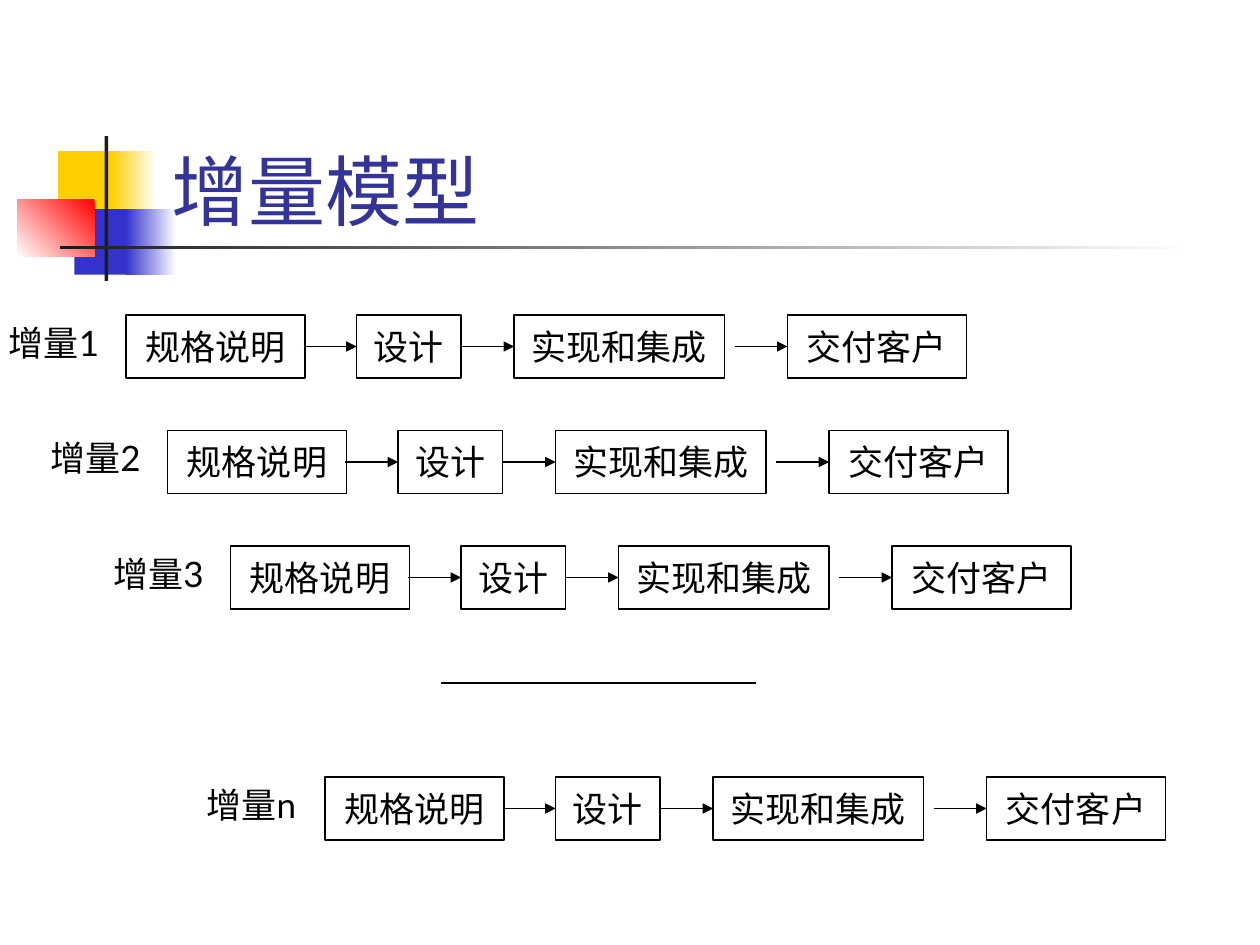
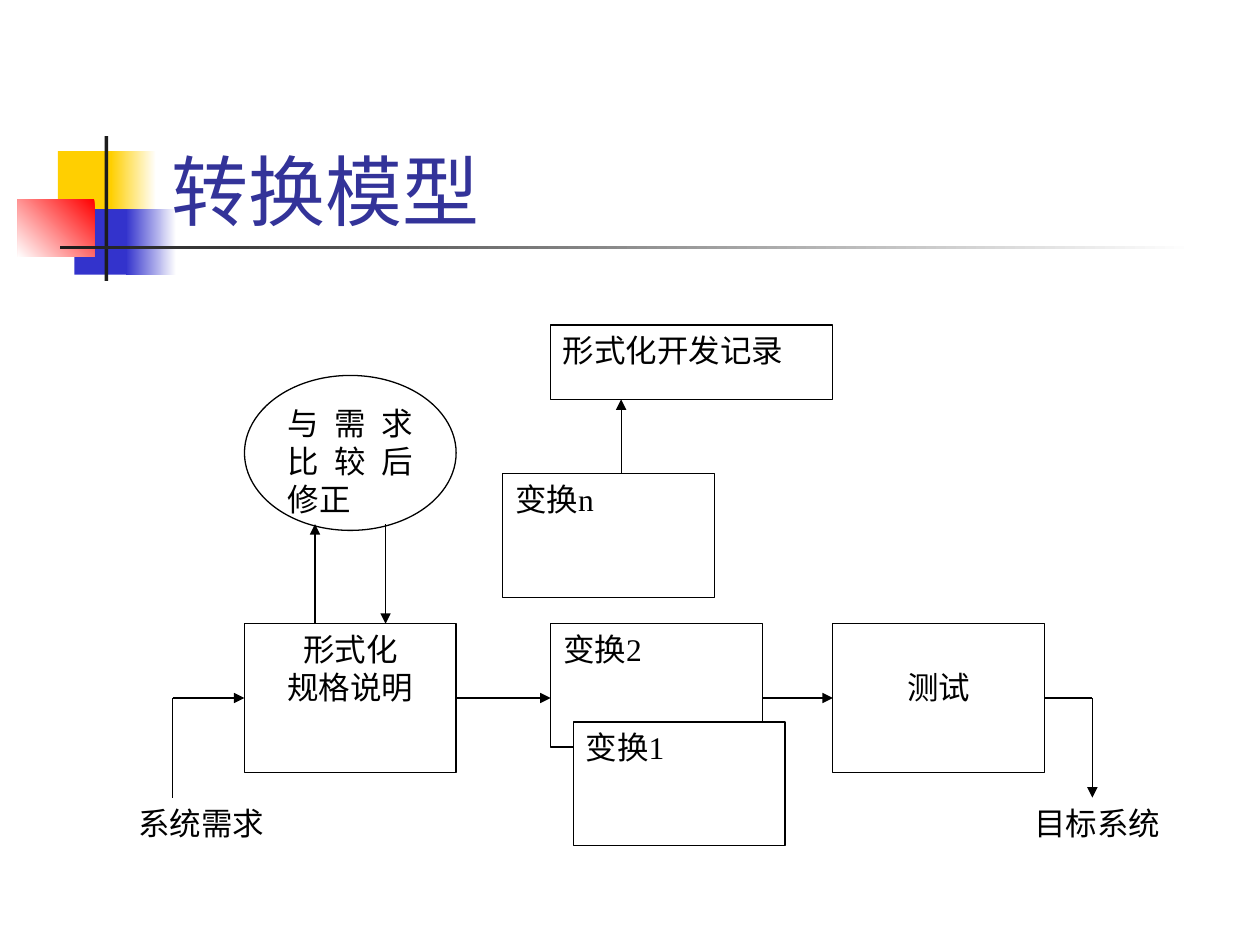
from dataclasses import dataclass

from lxml import etree
from pptx import Presentation
from pptx.dml.color import RGBColor
from pptx.enum.shapes import MSO_CONNECTOR, MSO_SHAPE
from pptx.enum.text import MSO_ANCHOR, PP_ALIGN
from pptx.oxml.ns import qn
from pptx.util import Inches, Pt

RECT, OVAL = MSO_SHAPE.RECTANGLE, MSO_SHAPE.OVAL
STRAIGHT = MSO_CONNECTOR.STRAIGHT
LEFT, CENTER, JUSTIFY = PP_ALIGN.LEFT, PP_ALIGN.CENTER, PP_ALIGN.JUSTIFY
TOP, MIDDLE, BOTTOM = MSO_ANCHOR.TOP, MSO_ANCHOR.MIDDLE, MSO_ANCHOR.BOTTOM


@dataclass(frozen=True)
class Theme:
    black: str = "000000"
    white: str = "FFFFFF"
    title: str = "333399"
    yellow: str = "FFCF01"
    blue: str = "3333CC"
    red: str = "FF0000"
    dark: str = "1C1C1C"
    sans: str = "Lato"
    serif: str = "Times New Roman"
    title_size: int = 44
    step_size: int = 20
    node_size: int = 18
    line_width: float = 0.75


T = Theme()


def add_text(slide, text, at, shape=RECT, fill=None, line=None, font=T.sans,
             size=T.step_size, color=T.black, align=LEFT, anchor=TOP,
             wrap=True, margin_top=0.05):
    sp = slide.shapes.add_shape(shape, *map(Inches, at))
    sp.shadow.inherit = False
    if fill:
        sp.fill.solid()
        sp.fill.fore_color.rgb = RGBColor.from_string(fill)
    else:
        sp.fill.background()
    if line:
        sp.line.color.rgb = RGBColor.from_string(line)
        sp.line.width = Pt(T.line_width)
    else:
        sp.line.fill.background()
    tf = sp.text_frame
    tf.word_wrap = wrap
    tf.vertical_anchor = anchor
    tf.margin_top = Inches(margin_top)
    tf.text = text
    for p in tf.paragraphs:
        p.alignment = align
        for r in p.runs:
            r.font.name = font
            r.font.size = Pt(size)
            r.font.color.rgb = RGBColor.from_string(color)
    return sp


def add_line(slide, x1, y1, x2, y2, arrow=True):
    cn = slide.shapes.add_connector(STRAIGHT, *map(Inches, (x1, y1, x2, y2)))
    cn.line.color.rgb = RGBColor.from_string(T.black)
    cn.line.width = Pt(T.line_width)
    if arrow:
        etree.SubElement(cn.line._get_or_add_ln(), qn("a:tailEnd"), type="triangle")
    etree.SubElement(cn._element.spPr, qn("a:effectLst"))


prs = Presentation()
prs.slide_width, prs.slide_height = Inches(10), Inches(7.5)

decor = [
    ((0.46, 1.2, 0.48, 0.52), T.yellow, None, 0),
    ((0.88, 1.2, 0.36, 0.52), T.white, T.yellow, 180),
    ((0.59, 1.66, 0.46, 0.52), T.blue, None, 0),
    ((1, 1.66, 0.4, 0.52), T.white, T.blue, 180),
    ((0.14, 1.58, 0.61, 0.46), T.red, T.white, 225),
    ((0.83, 1.08, 0.03, 1.15), T.dark, None, 0),
    ((0.48, 1.95, 9, 0.03), T.white, T.dark, 180),
]
slides = []
for title in ("增量模型", "转换模型"):
    s = prs.slides.add_slide(prs.slide_layouts[6])
    for at, start, end, angle in decor:
        sp = add_text(s, "", at, fill=start)
        if end:
            sp.fill.gradient()
            sp.fill.gradient_angle = angle
            for stop, color in zip(sp.fill.gradient_stops, (start, end)):
                stop.color.rgb = RGBColor.from_string(color)
    add_text(s, title, (1.26, 0.67, 8.52, 1.25), size=T.title_size,
             color=T.title, anchor=BOTTOM)
    slides.append(s)
incremental, transform = slides

steps = [("规格说明", 0, 1.42), ("设计", 1.83, 0.83),
         ("实现和集成", 3.08, 1.67), ("交付客户", 5.25, 1.42)]
increments = [("增量1", 0, 1, -0.03, 0.95), ("增量2", 1, 1.33, 0.3, 0.95),
              ("增量3", 2, 1.83, 0.8, 0.95), ("增量n", 4, 2.58, 1.54, 1.05)]
step_height, arrow_length = 0.5, 0.42
for label, row, left, label_left, label_width in increments:
    top = 2.5 + row * 11 / 12
    middle = top + step_height / 2
    add_text(incremental, label, (label_left, top, label_width, 0.44))
    for step, offset, width in steps:
        x = left + offset
        add_text(incremental, step, (x, top, width, step_height), line=T.black,
                 align=CENTER, anchor=MIDDLE, wrap=False)
        if offset:
            add_line(incremental, x - arrow_length, middle, x, middle)
add_line(incremental, 3.5, 5.42, 6, 5.42, arrow=False)

node_width = 1.68
nodes = [
    ("形式化\n规格说明", (1.94, 4.95, node_width, 1.18), dict(align=CENTER)),
    ("与需求比较后修正", (1.94, 2.98, node_width, 1.23), dict(shape=OVAL)),
    ("变换2", (4.37, 4.95, node_width, 0.98), {}),
    ("变换1", (4.55, 5.73, node_width, 0.98), {}),
    ("变换n", (3.99, 3.76, node_width, 0.98), {}),
    ("测试", (6.61, 4.95, node_width, 1.18), dict(align=CENTER, margin_top=0.35)),
    ("形式化开发记录", (4.37, 2.58, 2.24, 0.59), {}),
    ("系统需求", (1, 6.33, 1.31, 0.59), dict(line=None)),
    ("目标系统", (8.11, 6.33, 1.31, 0.59), dict(line=None)),
]
node_format = dict(fill=T.white, line=T.black, font=T.serif,
                   size=T.node_size, align=JUSTIFY)
for text, at, extra in nodes:
    add_text(transform, text, at, **{**node_format, **extra})

flow_y = 5.54
for x1, x2 in ((1.37, 1.94), (3.62, 4.37), (6.05, 6.61)):
    add_line(transform, x1, flow_y, x2, flow_y)
for x, y1, y2 in ((2.5, 4.95, 4.16), (3.06, 4.16, 4.95),
                  (4.93, 3.76, 3.17), (8.67, flow_y, 6.33)):
    add_line(transform, x, y1, x, y2)
add_line(transform, 1.37, 6.33, 1.37, flow_y, arrow=False)
add_line(transform, 8.29, flow_y, 8.67, flow_y, arrow=False)

prs.save("out.pptx")
